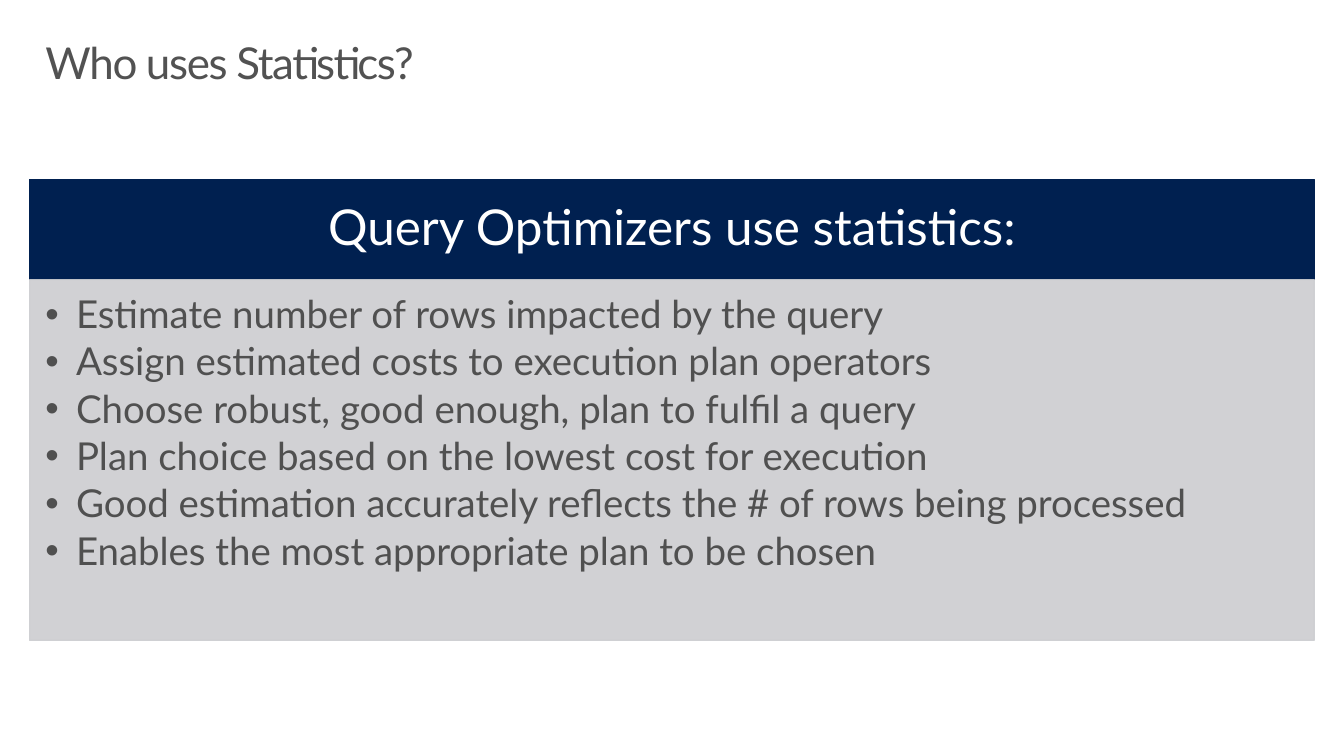
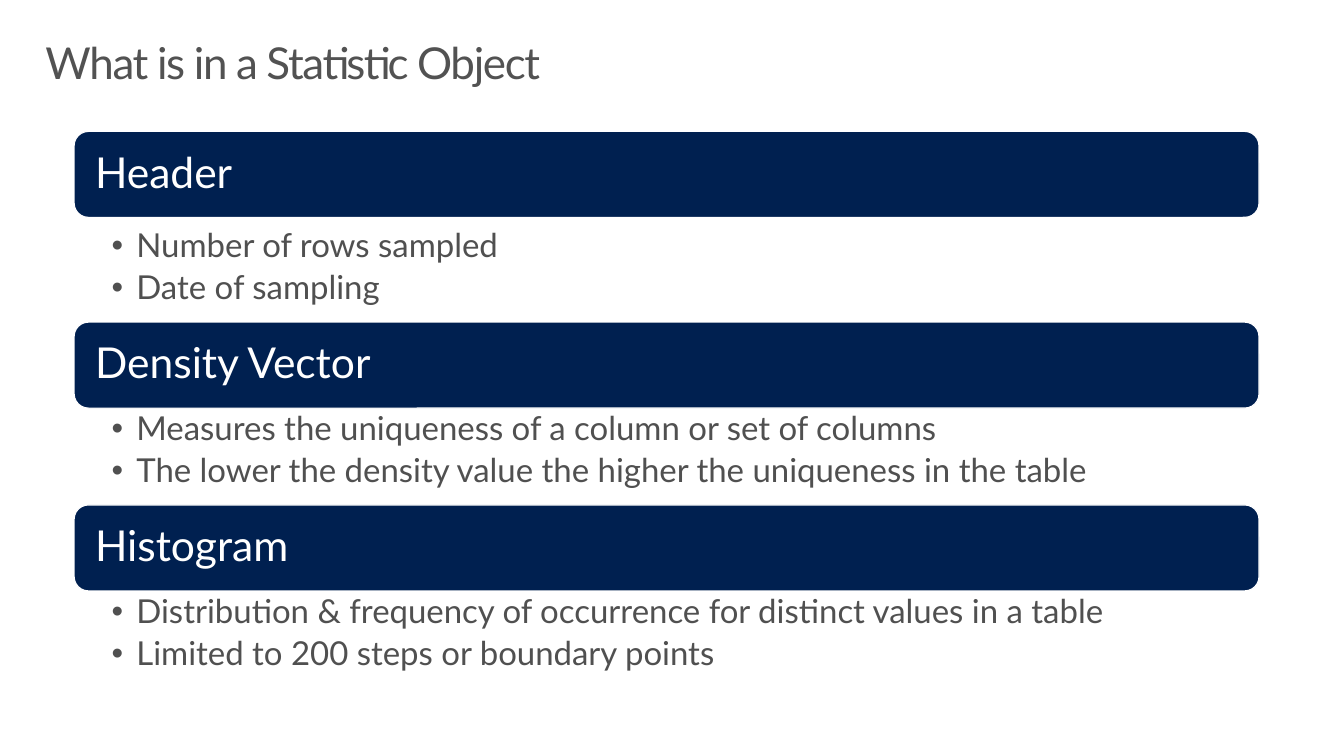
from dataclasses import dataclass

from lxml.etree import SubElement
from pptx import Presentation
from pptx.dml.color import RGBColor
from pptx.enum.shapes import MSO_SHAPE as Shape
from pptx.enum.text import MSO_ANCHOR as Anchor, PP_ALIGN as Align
from pptx.oxml.ns import qn
from pptx.util import Inches, Pt

# Shared style
COLORS = {"navy": "002050", "panel": "CCCDD0", "white": "FFFFFF",
          "title": "525252", "body": "505050"}
FONT = "Lato"
LINE_SPACING = 0.9
OUTLINE = 0.85
SLIDE_W, SLIDE_H = 13.6, 7.65
MARGIN = 0.3
FULL_W = SLIDE_W - 2 * MARGIN


@dataclass(frozen=True)
class Box:
    left: float
    top: float
    width: float
    height: float

    def lengths(self):
        return [Inches(v) for v in (self.left, self.top, self.width, self.height)]


@dataclass(frozen=True)
class Section:
    heading: str
    points: tuple[str, ...]
    gap: float = 0.0  # between the heading band and its points


OPTIMIZER_USES = Section("Query Optimizers use statistics:", (
    "Estimate number of rows impacted by the query",
    "Assign estimated costs to execution plan operators",
    "Choose robust, good enough, plan to fulfil a query",
    "Plan choice based on the lowest cost for execution",
    "Good estimation accurately reflects the # of rows being processed",
    "Enables the most appropriate plan to be chosen",
))

OBJECT_PARTS = (
    Section("Header", ("Number of rows sampled", "Date of sampling"), gap=0.08),
    Section("Density Vector", (
        "Measures the uniqueness of a column or set of columns",
        "The lower the density value the higher the uniqueness in the table")),
    Section("Histogram", (
        "Distribution & frequency of occurrence for distinct values in a table",
        "Limited to 200 steps or boundary points")),
)


def rgb(name: str) -> RGBColor:
    return RGBColor.from_string(COLORS[name])


def write(shape, lines, *, size, color, insets, align=Align.LEFT, anchor=Anchor.TOP,
          after=0.0, indent=0.0, tracking=0.0) -> None:
    """Fill a shape with paragraphs; a positive indent makes them bullets.

    The space after a paragraph is a share of the font size.
    """
    frame = shape.text_frame
    frame.word_wrap = True
    frame.vertical_anchor = anchor
    (frame.margin_left, frame.margin_top,
     frame.margin_right, frame.margin_bottom) = map(Inches, insets)
    for number, line in enumerate(lines):
        para = frame.paragraphs[0] if number == 0 else frame.add_paragraph()
        if indent:
            props = para._p.get_or_add_pPr()
            props.set("marL", str(Inches(indent)))
            props.set("indent", str(-Inches(indent)))
            SubElement(props, qn("a:buFont")).set("typeface", "Arial")
            SubElement(props, qn("a:buChar")).set("char", "•")
        para.alignment = align
        para.line_spacing = LINE_SPACING
        para.space_after = Pt(size * after)
        run = para.add_run()
        run.text = line
        run.font.name = FONT
        run.font.size = Pt(size)
        run.font.color.rgb = rgb(color)
        if tracking:
            run.font._element.set("spc", str(round(tracking * 100)))


def add_block(slide, kind, box: Box, *, fill: str, line: str, opacity=100):
    block = slide.shapes.add_shape(kind, *box.lengths())
    block.shadow.inherit = False
    block.fill.solid()
    block.fill.fore_color.rgb = rgb(fill)
    block.line.color.rgb = rgb(line)
    block.line.width = Pt(OUTLINE)
    if opacity < 100:
        for color in block._element.spPr.iter(qn("a:srgbClr")):
            SubElement(color, qn("a:alpha")).set("val", str(opacity * 1000))
    return block


def add_text_box(slide, box: Box):
    return slide.shapes.add_textbox(*box.lengths())


def add_titled_slide(deck, title: str):
    slide = deck.slides.add_slide(deck.slide_layouts[6])
    write(add_text_box(slide, Box(MARGIN, 0.32, FULL_W, 1)), [title],
          size=32, color="title", insets=(0.16, 0.1, 0.16, 0.1), tracking=-1)
    return slide


def draw_panel(slide, section: Section) -> None:
    """One heading band on top of a grey panel of points."""
    top, band_h, panel_h = 1.82, 1.01, 3.65
    band = add_block(slide, Shape.RECTANGLE, Box(MARGIN, top, FULL_W, band_h),
                     fill="navy", line="navy")
    write(band, [section.heading], size=36, color="white", align=Align.CENTER,
          anchor=Anchor.MIDDLE, insets=(0.28, 0.16, 0.28, 0.16), after=0.35)
    panel = add_block(slide, Shape.RECTANGLE,
                      Box(MARGIN, top + band_h, FULL_W, panel_h),
                      fill="panel", line="panel", opacity=90)
    write(panel, section.points, size=28, color="body", indent=0.31,
          insets=(0.16, 0.16, 0.22, 0.24), after=0.15)


def draw_stack(slide, sections: tuple[Section, ...]) -> None:
    """Rounded heading bands, each followed by its points."""
    left, width, band_h, points_h = 0.75, 11.99, 0.87, 0.98
    top = 1.33
    for section in sections:
        band = add_block(slide, Shape.ROUNDED_RECTANGLE,
                         Box(left, top, width, band_h), fill="navy", line="white")
        write(band, [section.heading], size=31, color="white",
              anchor=Anchor.MIDDLE, insets=(0.17, 0.13, 0.17, 0.13), after=0.35)
        top += band_h + section.gap
        write(add_text_box(slide, Box(left, top, width, points_h)), section.points,
              size=24, color="body", indent=0.25,
              insets=(0.38, 0.04, 0.24, 0.04), after=0.2)
        top += points_h


def main() -> None:
    deck = Presentation()
    deck.slide_width, deck.slide_height = Inches(SLIDE_W), Inches(SLIDE_H)
    draw_panel(add_titled_slide(deck, "Who uses Statistics?"), OPTIMIZER_USES)
    draw_stack(add_titled_slide(deck, "What is in a Statistic Object"), OBJECT_PARTS)
    deck.save("out.pptx")


if __name__ == "__main__":
    main()
